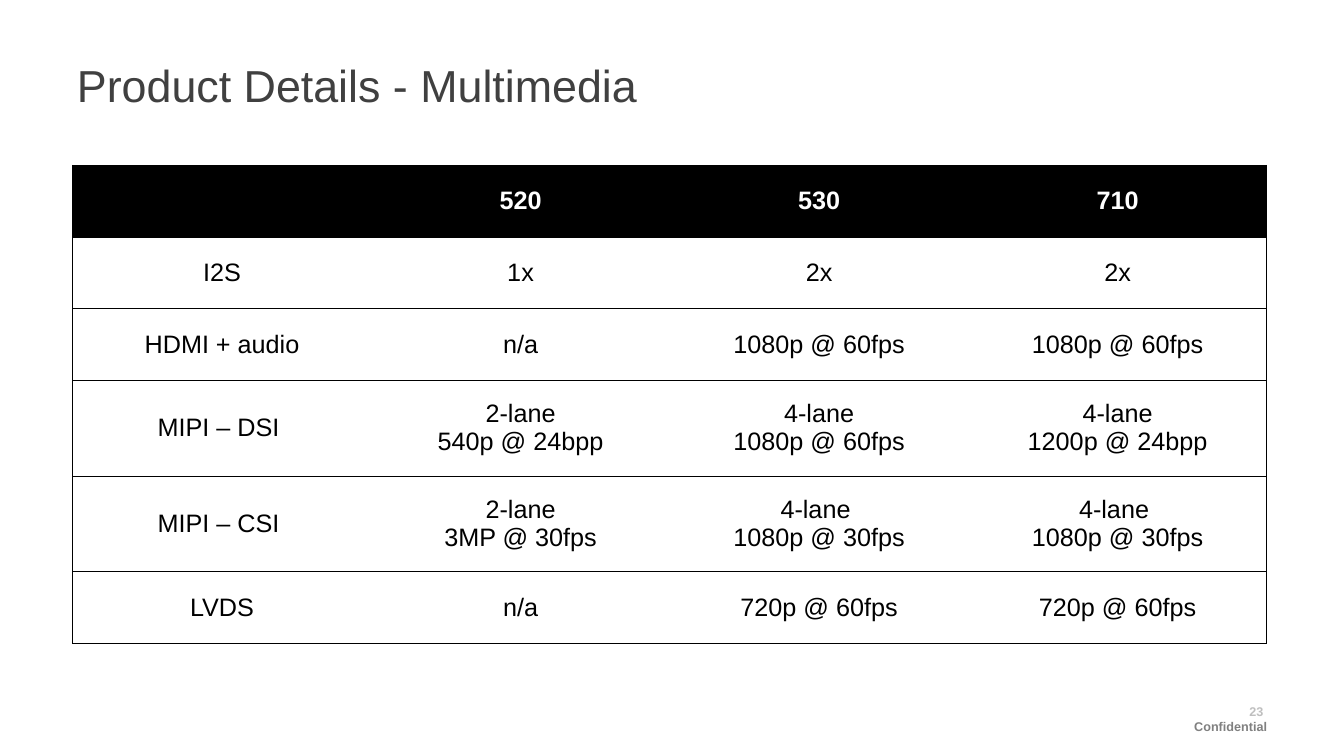
from dataclasses import dataclass
from lxml.etree import SubElement
from pptx import Presentation
from pptx.dml.color import RGBColor as RGB
from pptx.enum.text import MSO_ANCHOR as Anchor, PP_ALIGN as Align
from pptx.oxml.ns import qn
from pptx.util import Pt


@dataclass(frozen=True)
class Theme:
    face: str = "Arial"
    black: str = "000000"
    white: str = "FFFFFF"
    title: str = "404040"
    note: str = "808080"
    page: str = "BFBFBF"
    head: int = 32
    body: int = 18
    small: int = 9
    rule: float = 0.5


THEME = Theme()

ROWS = [
    ["", "520", "530", "710"],
    ["I2S", "1x", "2x", "2x"],
    ["HDMI + audio", "n/a", "1080p @ 60fps", "1080p @ 60fps"],
    ["MIPI – DSI ", "2-lane\n540p @ 24bpp", "4-lane\n1080p @ 60fps", "4-lane\n1200p @ 24bpp"],
    ["MIPI – CSI ", "2-lane\n3MP @ 30fps", "4-lane \n1080p @ 30fps", "4-lane \n1080p @ 30fps"],
    ["LVDS", "n/a", "720p @ 60fps", "720p @ 60fps"],
]


def style(frame, size, color, bold, align):
    for para in frame.paragraphs:
        para.alignment = align
        font = para.font
        font.name, font.size, font.bold = THEME.face, Pt(size), bold
        font.color.rgb = RGB.from_string(color)


def label(slide, text, box, size, color, bold=False, align=Align.LEFT):
    frame = slide.shapes.add_textbox(*map(Pt, box)).text_frame
    frame.word_wrap = True
    frame.margin_left = frame.margin_right = 0
    frame.margin_top = frame.margin_bottom = 0
    frame.text = text
    style(frame, size, color, bold, align)


def edge(cell, side, shown):
    props = cell._tc.get_or_add_tcPr()
    line = SubElement(props, qn(f"a:ln{side}"), w=str(Pt(THEME.rule)))
    if shown:
        fill = SubElement(line, qn("a:solidFill"))
        SubElement(fill, qn("a:srgbClr"), val=THEME.black)
    else:
        SubElement(line, qn("a:noFill"))


def fill_cell(cell, text, head, first, last):
    for side, shown in zip("LRTB", (first, last, True, True)):
        edge(cell, side, shown)
    cell.fill.solid()
    cell.fill.fore_color.rgb = RGB.from_string(THEME.black if head else THEME.white)
    cell.vertical_anchor = Anchor.MIDDLE
    cell.text = text
    color = THEME.white if head else THEME.black
    style(cell.text_frame, THEME.body, color, head, Align.CENTER)


def grid(slide, rows, left, top, width, short, tall):
    heights = [tall if any("\n" in text for text in row) else short for row in rows]
    count = len(rows[0])
    box = map(Pt, (left, top, width, sum(heights)))
    table = slide.shapes.add_table(len(rows), count, *box).table
    for col in table.columns:
        col.width = Pt(width / count)
    for r, row in enumerate(rows):
        table.rows[r].height = Pt(heights[r])
        for c, text in enumerate(row):
            fill_cell(table.cell(r, c), text, r == 0, c == 0, c == count - 1)


def main():
    deck = Presentation()
    deck.slide_width, deck.slide_height = Pt(960), Pt(540)
    slide = deck.slides.add_slide(deck.slide_layouts[6])
    label(slide, "23 ", (786, 502.5, 119, 18), THEME.small, THEME.page, True, Align.RIGHT)
    label(slide, "Confidential", (790.5, 513.5, 114.5, 18), THEME.small, THEME.note, True, Align.RIGHT)
    label(slide, "Product Details - Multimedia", (55, 41, 850, 72), THEME.head, THEME.title)
    grid(slide, ROWS, 52, 118, 853, 51.2, 68.4)
    deck.save("out.pptx")


if __name__ == "__main__":
    main()
